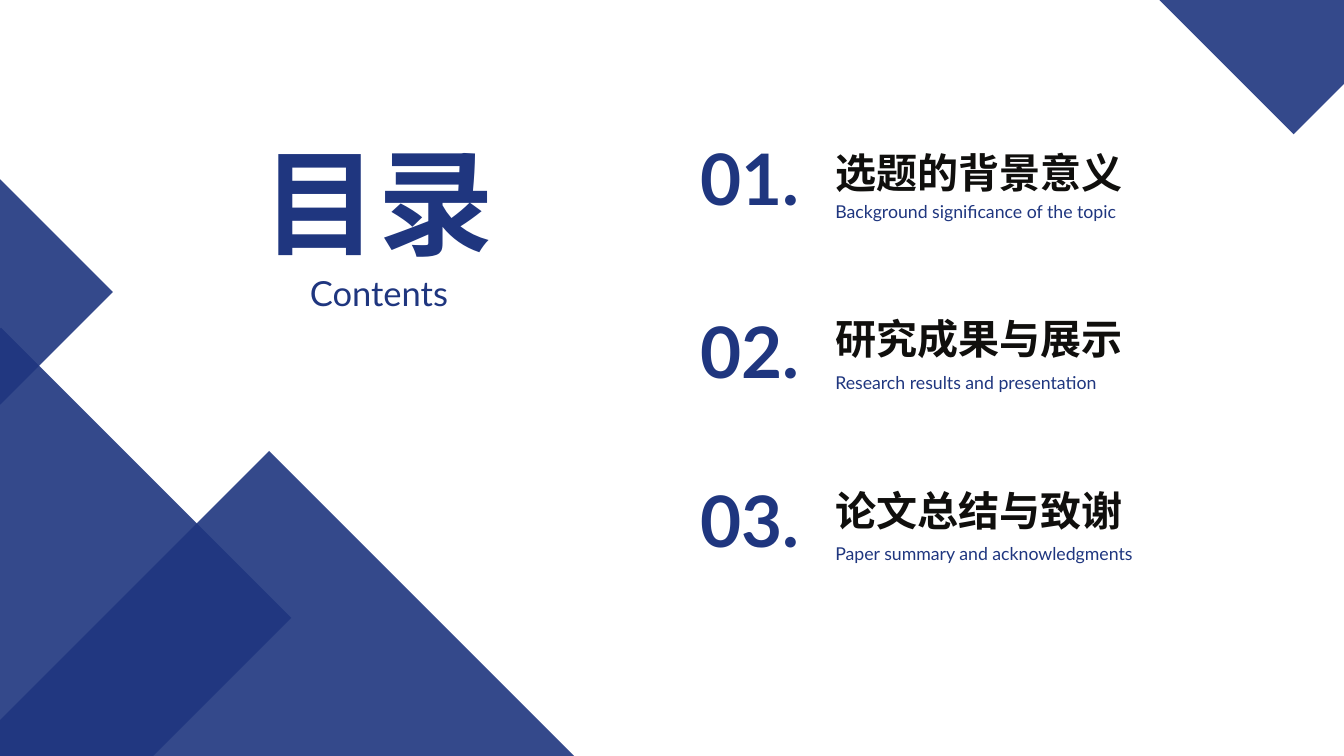
from lxml import etree
from pptx import Presentation
from pptx import util as u
from pptx.dml import color
from pptx.enum import shapes, text
from pptx.oxml import ns

COLORS = {"navy": "1F367F", "ink": "100F0D"}
LATIN, CJK = "Lato", "Noto Sans CJK SC"
STYLES = {
    "heading": {"size": 123.9, "name": CJK, "bold": True, "color": "navy"},
    "subheading": {"size": 37, "name": LATIN, "bold": False, "color": "navy"},
    "number": {"size": 76, "name": LATIN, "bold": True, "color": "navy"},
    "topic": {"size": 44, "name": CJK, "bold": True, "color": "ink"},
    "caption": {"size": 19, "name": LATIN, "bold": False, "color": "navy"},
}
DIAMONDS = [(0.53, 8.15, 6.95), (-3.04, 6.14, 6.11), (-1.18, 3.16, 2.37), (17.78, -1.55, 2.94)]
ENTRIES = [
    (("01.", 2.01), ("选题的背景意义", 2.19), ("Background significance of the topic", 2.99)),
    (("02.", 4.57), ("研究成果与展示", 4.66), ("Research results and presentation", 5.53)),
    (("03.", 7.09), ("论文总结与致谢", 7.23), ("Paper summary and acknowledgments", 8.08)),
]
ENTRY_PARTS = [("number", 10.42, 2.14, 1.45), ("topic", 12.43, 4.88, 0.72), ("caption", 12.43, 5.12, 0.35)]


class ContentsPage:
    """Draws styled elements on a page divided into 20 columns and 11.25 rows."""

    def __init__(self, deck):
        self.page = deck.slides.add_slide(deck.slide_layouts[6])
        self.column = deck.slide_width / 20
        self.row = deck.slide_height / 11.25

    def place(self, left, top, width, height):
        return [round(length * unit) for length, unit in
                zip((left, top, width, height), (self.column, self.row) * 2)]

    def diamond(self, left, top, side, opacity=90):
        shape = self.page.shapes.add_shape(
            shapes.MSO_SHAPE.RECTANGLE, *self.place(left, top, side, side))
        shape.rotation = 135
        shape.shadow.inherit = False
        shape.line.fill.background()
        shape.fill.solid()
        shape.fill.fore_color.rgb = color.RGBColor.from_string(COLORS["navy"])
        tint = shape.fill._xPr.find(".//" + ns.qn("a:srgbClr"))
        etree.SubElement(tint, ns.qn("a:alpha"), val=str(opacity * 1000))

    def label(self, words, style, left, top, width, height, align=text.PP_ALIGN.LEFT):
        look = STYLES[style]
        box = self.page.shapes.add_textbox(*self.place(left, top, width, height))
        frame = {"margin_left": 0, "margin_top": 0, "margin_right": 0, "margin_bottom": 0,
                 "word_wrap": True, "auto_size": text.MSO_AUTO_SIZE.SHAPE_TO_FIT_TEXT}
        for name, value in frame.items():
            setattr(box.text_frame, name, value)
        para = box.text_frame.paragraphs[0]
        para.alignment = align
        para.line_spacing = u.Pt(round(look["size"] * 1.2, 1))
        span = para.add_run()
        span.text = words
        font = {"size": u.Pt(look["size"]), "name": look["name"], "bold": look["bold"]}
        for name, value in font.items():
            setattr(span.font, name, value)
        span.font.color.rgb = color.RGBColor.from_string(COLORS[look["color"]])
        etree.SubElement(span._r.get_or_add_rPr(), ns.qn("a:ea"), typeface=look["name"])


def main():
    deck = Presentation()
    deck.slide_width, deck.slide_height = u.Inches(20), u.Inches(11.25)
    contents = ContentsPage(deck)
    for diamond in DIAMONDS:
        contents.diamond(*diamond)
    contents.label("目录", "heading", 3.35, 1.95, 4.57, 2.06, text.PP_ALIGN.CENTER)
    contents.label("Contents", "subheading", 3.96, 4.05, 3.36, 0.7, text.PP_ALIGN.CENTER)
    for entry in ENTRIES:
        for (words, top), (style, left, width, height) in zip(entry, ENTRY_PARTS):
            contents.label(words, style, left, top, width, height)
    deck.save("out.pptx")


if __name__ == "__main__":
    main()
